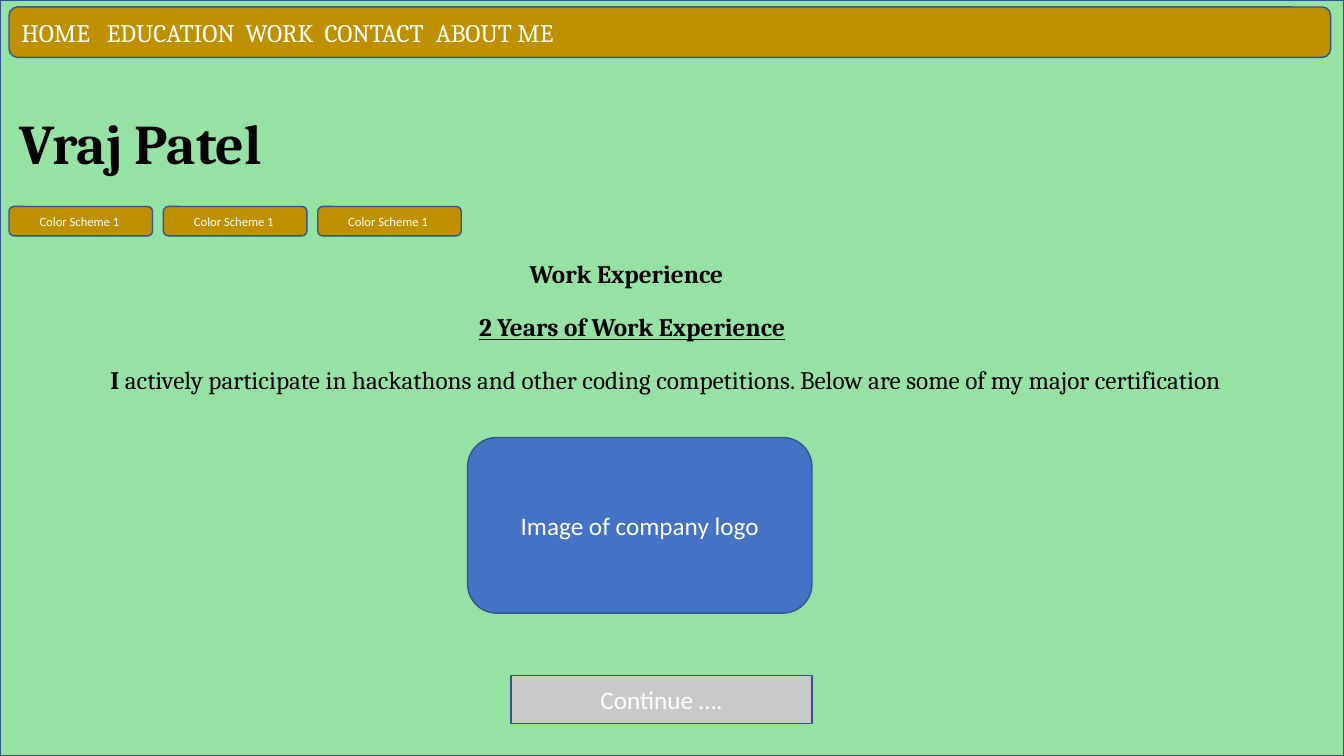
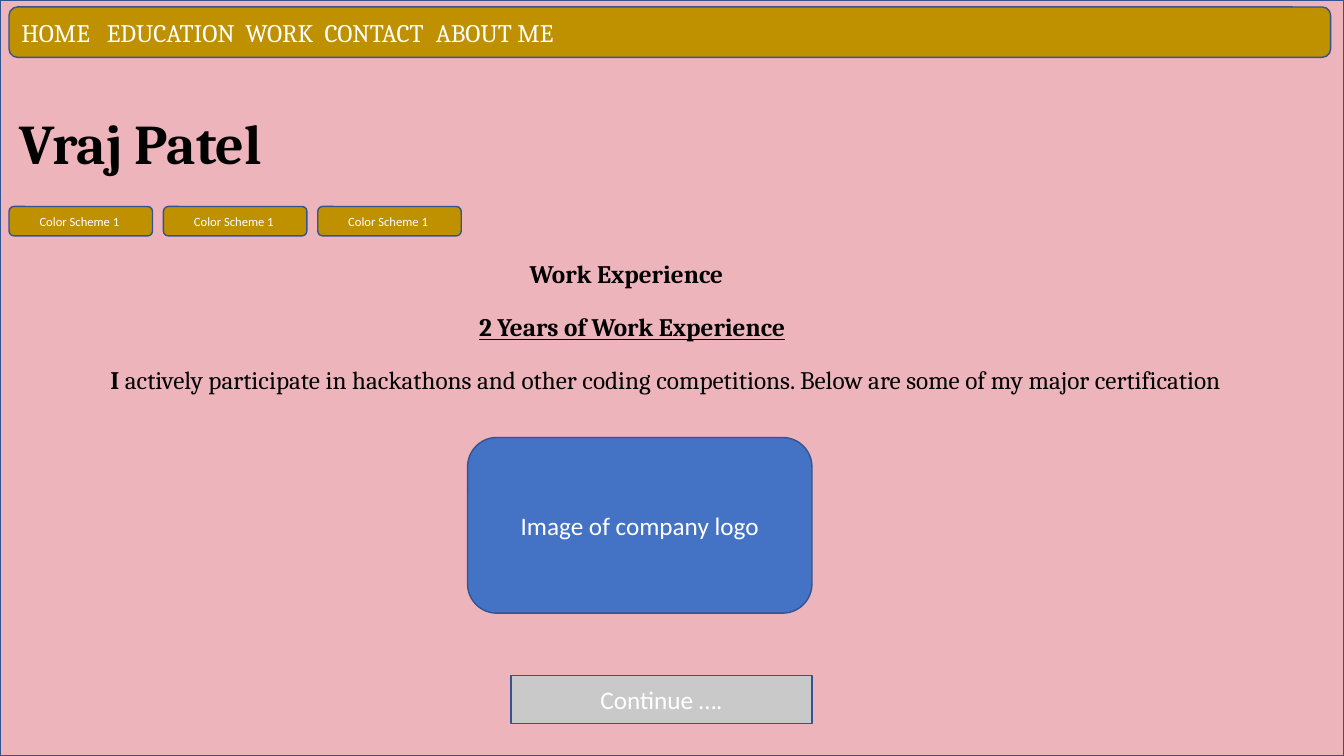
from dataclasses import dataclass

import lxml.etree
import pptx
import pptx.dml.color
import pptx.enum.shapes
import pptx.enum.text
import pptx.oxml.ns
import pptx.util

Pt = pptx.util.Pt
Align = pptx.enum.text.PP_ALIGN
Anchor = pptx.enum.text.MSO_ANCHOR
Preset = pptx.enum.shapes.MSO_SHAPE


@dataclass(frozen=True)
class Theme:
    heading_font: str = "Cambria"
    label_font: str = "Calibri"
    title_size: float = 40
    text_size: float = 18
    small_size: float = 9
    ink: str = "000000"
    light: str = "FFFFFF"
    outline: str = "325491"
    gold: str = "BF9000"
    blue: str = "4472C4"
    gray: str = "C9C9C9"
    backgrounds: tuple = ("96E2A4", "EEB4BC")
    width: float = 960
    height: float = 540


class PageBuilder:
    def __init__(self, presentation, theme):
        self.presentation = presentation
        self.theme = theme
        self.slide = None

    def color(self, value):
        return pptx.dml.color.RGBColor.from_string(value)

    def start(self, background):
        self.slide = self.presentation.slides.add_slide(self.presentation.slide_layouts[5])
        canvas = self.box(Preset.RECTANGLE, (0, 0, self.theme.width, self.theme.height), background)
        canvas.element.getparent().insert(2, canvas.element)

    def format(self, paragraph, font_name, size, color, align, bold=False, underline=False):
        paragraph.alignment = align
        for run in paragraph.runs:
            run.font.name = font_name
            run.font.size = Pt(size)
            run.font.color.rgb = self.color(color)
            run.font.bold = bold
            run.font.underline = underline

    def box(self, preset, bounds, fill):
        shape = self.slide.shapes.add_shape(preset, *map(Pt, bounds))
        shape.shadow.inherit = False
        shape.fill.solid()
        shape.fill.fore_color.rgb = self.color(fill)
        shape.line.color.rgb = self.color(self.theme.outline)
        shape.line.width = Pt(1)
        return shape

    def label(self, preset, bounds, fill, text, size):
        shape = self.box(preset, bounds, fill)
        shape.text_frame.text = text
        shape.text_frame.vertical_anchor = Anchor.MIDDLE
        self.format(shape.text_frame.paragraphs[0], self.theme.label_font, size,
                    self.theme.light, Align.CENTER)

    def navigation(self, bounds, entries, tab_stops):
        bar = self.box(Preset.ROUNDED_RECTANGLE, bounds, self.theme.gold)
        bar.text_frame.text = "\t".join(entries)
        bar.text_frame.vertical_anchor = Anchor.MIDDLE
        paragraph = bar.text_frame.paragraphs[0]
        self.format(paragraph, self.theme.heading_font, self.theme.text_size,
                    self.theme.light, Align.LEFT)
        qn = pptx.oxml.ns.qn
        properties = paragraph.runs[0].font.fill and paragraph.runs[0]._r.getparent().get_or_add_pPr()
        tab_list = lxml.etree.SubElement(properties, qn("a:tabLst"))
        for stop in tab_stops:
            lxml.etree.SubElement(tab_list, qn("a:tab"), pos=str(Pt(stop)), algn="l")

    def title(self, bounds, text):
        title = self.slide.shapes.title
        title.left, title.top, title.width, title.height = map(Pt, bounds)
        frame = title.text_frame
        frame.text = text
        frame.word_wrap = True
        frame.auto_size = pptx.enum.text.MSO_AUTO_SIZE.SHAPE_TO_FIT_TEXT
        frame.vertical_anchor = Anchor.TOP
        self.format(frame.paragraphs[0], self.theme.heading_font, self.theme.title_size,
                    self.theme.ink, Align.LEFT, bold=True)

    def text(self, bounds, text, underline=False, continuation=""):
        frame = self.slide.shapes.add_textbox(*map(Pt, bounds)).text_frame
        frame.word_wrap = True
        frame.auto_size = pptx.enum.text.MSO_AUTO_SIZE.SHAPE_TO_FIT_TEXT
        frame.text = text
        paragraph = frame.paragraphs[0]
        if continuation:
            paragraph.add_run().text = continuation
        self.format(paragraph, self.theme.heading_font, self.theme.text_size,
                    self.theme.ink, Align.CENTER, bold=True, underline=underline)
        if continuation:
            paragraph.runs[-1].font.bold = False


def build_work_page(page, background):
    theme = page.theme
    page.start(background)
    page.navigation((6.5, 5, 944, 36),
                    ("HOME", "EDUCATION", "WORK", "CONTACT", "ABOUT ME"),
                    (61, 160, 216.5, 296))
    page.title((6.5, 74, 480, 55.5), "Vraj Patel")
    for index in range(3):
        page.label(Preset.ROUNDED_RECTANGLE, (6.5 + 110.25 * index, 147.5, 102.5, 21),
                   theme.gold, "Color Scheme 1 ", theme.small_size)
    page.text((205, 181, 485, 29), "Work Experience")
    page.text((255, 219, 393, 29), "2 Years of Work Experience", underline=True)
    page.text((0, 257, 951, 29), "I",
              continuation="\u00a0actively participate in hackathons and other coding competitions. "
                           "Below are some of my major certification")
    page.label(Preset.ROUNDED_RECTANGLE, (334, 312.5, 246, 125.5),
               theme.blue, "Image of company logo", theme.text_size)
    page.label(Preset.RECTANGLE, (365, 482.5, 215, 34.5),
               theme.gray, "Continue \u2026.", theme.text_size)


theme = Theme()
presentation = pptx.Presentation()
presentation.slide_width = Pt(theme.width)
presentation.slide_height = Pt(theme.height)
page = PageBuilder(presentation, theme)
for background in theme.backgrounds:
    build_work_page(page, background)
presentation.save("out.pptx")
